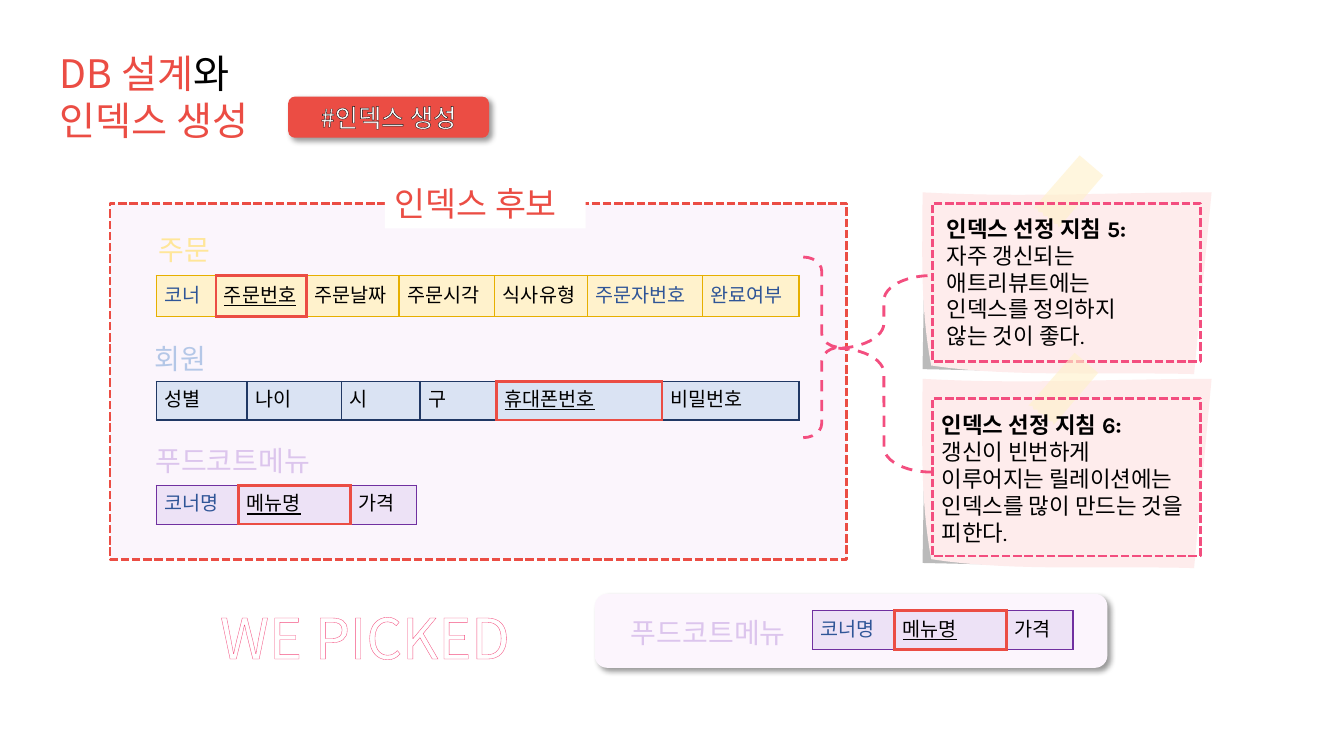
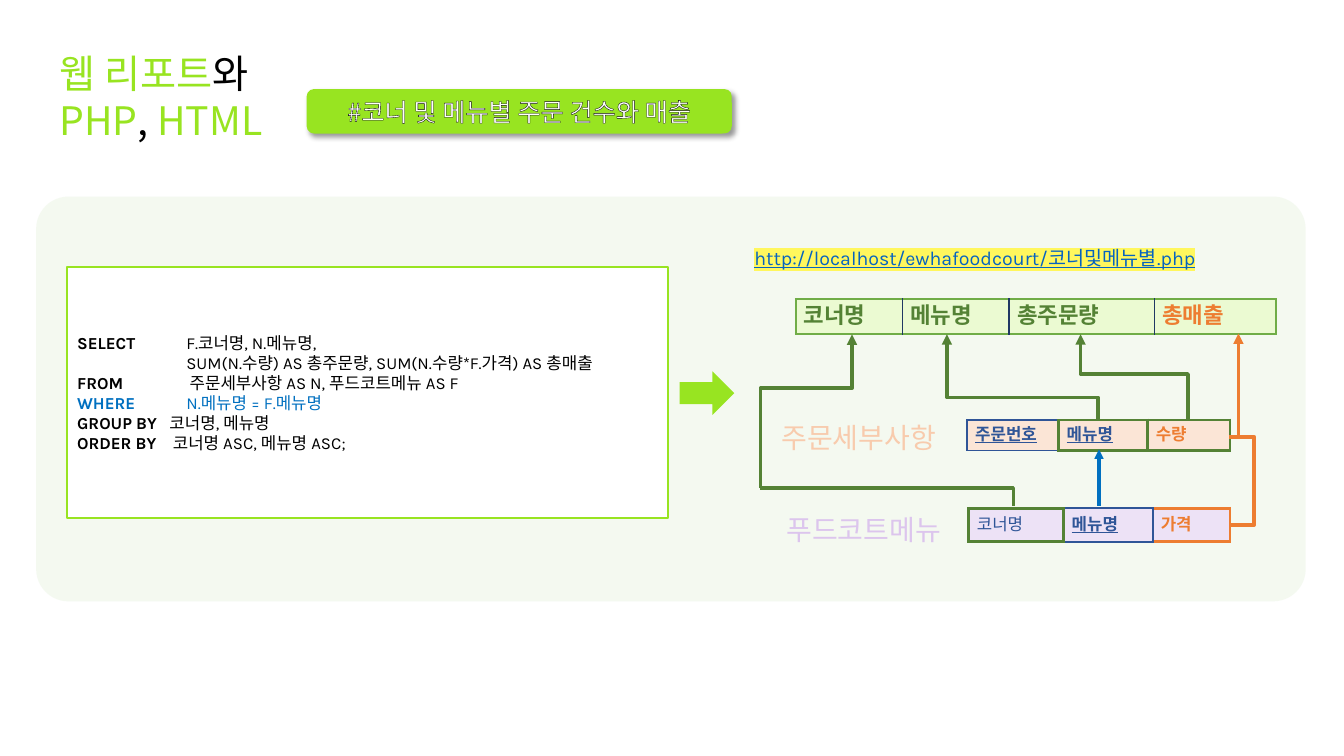
from lxml import etree
from pptx import Presentation
from pptx.dml.color import RGBColor
from pptx.enum.dml import MSO_LINE
from pptx.enum.shapes import MSO_CONNECTOR, MSO_SHAPE
from pptx.enum.text import MSO_ANCHOR, MSO_AUTO_SIZE, PP_ALIGN
from pptx.oxml.ns import qn
from pptx.util import Emu, Inches, Pt

RECT, ROUND = MSO_SHAPE.RECTANGLE, MSO_SHAPE.ROUNDED_RECTANGLE
LEFT_BRACE, RIGHT_BRACE = MSO_SHAPE.LEFT_BRACE, MSO_SHAPE.RIGHT_BRACE
RIGHT_ARROW = MSO_SHAPE.RIGHT_ARROW
STRAIGHT, ELBOW = MSO_CONNECTOR.STRAIGHT, MSO_CONNECTOR.ELBOW
DASH, SQUARE_DOT = MSO_LINE.DASH, MSO_LINE.SQUARE_DOT
TOP, MIDDLE = MSO_ANCHOR.TOP, MSO_ANCHOR.MIDDLE
LEFT, CENTER = PP_ALIGN.LEFT, PP_ALIGN.CENTER

# The slide is a grid of 160 columns by 90 rows with square cells
ROWS = 90
WIDTH, HEIGHT = Inches(13.33), Inches(7.5)
KOREAN, LATIN = "Noto Sans CJK KR", "Karla"
LEADING = 1.2

BLACK, WHITE, RED, LIME, PINK = "000000", "FFFFFF", "EB4D44", "98E421", "F34E7F"
BLUE, NAVY, AZURE = "2F5597", "203864", "0070C0"
GREEN, ORANGE, LILAC, PALE_LILAC = "548235", "ED7D31", "DCC5ED", "EDE2F6"


def rgb(value):
    return RGBColor.from_string(value)


def add(parent, tag, **attributes):
    return etree.SubElement(parent, qn(tag), attributes)


def solid(parent, color):
    add(add(parent, "a:solidFill"), "a:srgbClr", val=color)


def curve(p0, p1, p2, p3, steps=16):
    """Points along a cubic curve, without its first point."""
    for step in range(1, steps + 1):
        t = step / steps
        weights = ((1 - t) ** 3, 3 * t * (1 - t) ** 2, 3 * t * t * (1 - t), t ** 3)
        yield tuple(sum(w * p[axis] for w, p in zip(weights, (p0, p1, p2, p3)))
                    for axis in (0, 1))


class Deck:
    def __init__(self):
        self.file = Presentation()
        self.file.slide_width, self.file.slide_height = WIDTH, HEIGHT
        self.slide = None

    def grid(self, *lengths):
        return [Emu(round(length * HEIGHT / ROWS)) for length in lengths]

    # Text
    def run(self, paragraph, text, color=BLACK, outline=None, highlight=None, **values):
        run = paragraph.add_run()
        run.text = text
        for name, value in values.items():
            setattr(run.font, name, value)
        run.font.color.rgb = rgb(color)
        properties = run._r.get_or_add_rPr()
        latin = properties.find(qn("a:latin"))
        east_asian = add(properties, "a:ea", typeface=values["name"])
        latin.addnext(east_asian)
        if outline:
            edge = add(properties, "a:ln", w=str(Pt(outline[1])))
            solid(edge, outline[0])
            properties.insert(0, edge)
        if highlight:
            marker = add(properties, "a:highlight")
            add(marker, "a:srgbClr", val=highlight)
            latin.addprevious(marker)

    def fill_text(self, frame, paragraphs, size, align=LEFT, tabs=(), name=KOREAN, **base):
        base = {"size": Pt(size), "bold": False, "name": name, **base}
        for index, runs in enumerate(paragraphs):
            paragraph = frame.paragraphs[0] if index == 0 else frame.add_paragraph()
            if tabs:
                stops = add(paragraph._p.get_or_add_pPr(), "a:tabLst")
                add(stops, "a:tab", pos=str(self.grid(tabs[index])[0]), algn="l")
            paragraph.alignment = align
            paragraph.line_spacing = Pt(size * LEADING)
            for text, changes in runs:
                self.run(paragraph, text, **{**base, **changes})

    def text(self, at, paragraphs, size, anchor=TOP, **values):
        frame = self.slide.shapes.add_textbox(*self.grid(*at)).text_frame
        frame.word_wrap, frame.vertical_anchor = True, anchor
        self.fill_text(frame, paragraphs, size, **values)

    def label(self, left, top, text, color):
        self.text((left, top, 23.6, 5.3), [[(text, {})]], 20, MIDDLE, color=color)

    # Slide with its title and tag
    def page(self, title, tag, tag_at, color):
        self.slide = self.file.slides.add_slide(self.file.slide_layouts[5])
        heading = self.slide.shapes.title
        heading.left, heading.top, heading.width, heading.height = self.grid(5.9, 5.3, 30, 12.5)
        frame = heading.text_frame
        frame.auto_size, frame.vertical_anchor = MSO_AUTO_SIZE.NONE, TOP
        self.fill_text(frame, title, 28, color=color)
        plate = self.shape(ROUND, tag_at, color, shadow=True)
        plate.text_frame.vertical_anchor = MIDDLE
        self.fill_text(plate.text_frame, [[(tag, {})]], 18, CENTER,
                       color=WHITE, outline=("0D0D0D", 1))

    # Shapes
    def finish(self, shape, fill=None, alpha=None, line=None, shadow=False):
        shape.shadow.inherit = False
        if fill:
            shape.fill.solid()
            shape.fill.fore_color.rgb = rgb(fill)
        else:
            shape.fill.background()
        properties = shape.element.spPr
        if alpha:
            add(properties.find(qn("a:solidFill"))[0], "a:alpha", val=str(alpha * 1000))
        if line:
            color, width, dash = line
            shape.line.color.rgb, shape.line.width = rgb(color), Pt(width)
            if dash:
                shape.line.dash_style = dash
        else:
            shape.line.fill.background()
        if shadow:
            cast = add(properties.find(qn("a:effectLst")), "a:outerShdw",
                       blurRad=str(Pt(4)), dist=str(Pt(3)), dir="2700000",
                       algn="tl", rotWithShape="0")
            add(add(cast, "a:srgbClr", val=BLACK), "a:alpha", val="40000")
        return shape

    def shape(self, kind, at, fill=None, adjust=(), **style):
        shape = self.slide.shapes.add_shape(kind, *self.grid(*at))
        for index, value in enumerate(adjust):
            shape.adjustments[index] = value
        return self.finish(shape, fill, **style)

    def outline(self, points, fill, alpha=None):
        start, *rest = [self.grid(*point) for point in points]
        builder = self.slide.shapes.build_freeform(*start, scale=1.0)
        builder.add_line_segments(rest, close=True)
        self.finish(builder.convert_to_shape(), fill, alpha)

    # Sticky note: shade, curled paper, tape, frame and text
    def note(self, top, height, tape_shift, frame_top, text_at, lines):
        left, width = 109.8, 34.4

        def spot(x, y):
            return left + x * width, top + y * height
        self.outline([spot(0.01, 0.09), spot(0, 0.97), spot(0.3, 0.98)], BLACK, 27)
        start, low = spot(0, 0), spot(0.03, 0.95)
        self.outline([start, *curve(start, spot(0.35, 0.03), spot(0.66, 0), spot(1, 0)),
                      *curve(spot(1, 1), spot(0.68, 0.98), spot(0.32, 1.02), low),
                      *curve(low, spot(-0.01, 0.62), spot(0, 0.3), start)], "FEECEC")
        corners = [(left + x + tape_shift[0], top + y + tape_shift[1])
                   for x, y in ((18.7, -4.4), (21.5, -2), (16.2, 4.2), (13.2, 1.9))]
        (x1, y1), (x2, y2) = corners[2:]
        teeth = [(x1 + (x2 - x1) * i / 10 + i % 2 * 0.2,
                  y1 + (y2 - y1) * i / 10 - i % 2 * 0.2) for i in range(11)]
        self.outline([*corners[:2], *teeth], "FFF2CC", 63)
        self.shape(RECT, (111, frame_top, 31.9, 18.8), line=(PINK, 2, SQUARE_DOT))
        self.text(text_at, [[(line, {"bold": i == 0})] for i, line in enumerate(lines)],
                  16, name=LATIN)

    # One-row table of the fields of a relation
    def relation(self, left, top, height, fields, fill, border, size=14, inner=None, **base):
        widths = [width for _, width, _ in fields]
        frame = self.slide.shapes.add_table(
            1, len(fields), *self.grid(left, top, sum(widths), height))
        table = frame.table
        table.first_row = table.horz_banding = False
        own = [changes.get("edge", border) for _, _, changes in fields]
        sides = [own[0], *(max(pair, key=lambda edge: edge[1])
                           for pair in zip(own, own[1:])), own[-1]]
        for index, edge in (inner or {}).items():
            sides[index] = edge
        margins = {"margin_left": 0.08, "margin_right": 0.08,
                   "margin_top": 0.04, "margin_bottom": 0.04}
        for i, (name, width, changes) in enumerate(fields):
            table.columns[i].width = self.grid(width)[0]
            cell = table.cell(0, i)
            for margin, inches in margins.items():
                setattr(cell, margin, Inches(inches))
            cell.vertical_anchor = MIDDLE
            edges = zip("LRTB", (sides[i], sides[i + 1], own[i], own[i]))
            for side, (color, points) in edges:
                solid(add(cell._tc.get_or_add_tcPr(), f"a:ln{side}", w=str(Pt(points))), color)
            cell.fill.solid()
            cell.fill.fore_color.rgb = rgb(fill)
            look = {key: value for key, value in changes.items() if key != "edge"}
            self.fill_text(cell.text_frame, [[(name, look)]], size, **base)

    # Connectors
    def connector(self, start, end, color, width=2.5, kind=STRAIGHT, arrow=False,
                  bend=None, upward=False, preset=None):
        link = self.slide.shapes.add_connector(kind, *self.grid(*start, *end))
        link.line.color.rgb, link.line.width = rgb(color), Pt(width)
        properties = link.element.spPr
        add(properties, "a:effectLst")
        if arrow:
            add(properties.find(qn("a:ln")), "a:tailEnd", type="triangle")
        geometry = properties.find(qn("a:prstGeom"))
        if preset:
            geometry.set("prst", preset)
        if bend is not None:
            add(geometry.find(qn("a:avLst")), "a:gd", name="adj1",
                fmla=f"val {round(bend * 100000)}")
        if upward:  # the first leg runs up, so the box is turned a quarter
            (x1, y1), (x2, y2) = start, end
            across, rise = abs(x2 - x1), y1 - y2
            link.left, link.top, link.width, link.height = self.grid(
                (x1 + x2 - rise) / 2, (y1 + y2 - across) / 2, rise, across)
            turn = properties.find(qn("a:xfrm"))
            for flip in ("flipH", "flipV"):
                turn.attrib.pop(flip, None)
            turn.set("rot", "16200000")
            if x2 < x1:
                turn.set("flipV", "1")


PICKED = {"underline": True, "edge": (RED, 2.25)}
FOREIGN = {"color": BLUE}
MENU = "푸드코트메뉴"


def index_slide(deck):
    deck.page([[("DB 설계", {}), ("와", {"color": BLACK})], [("인덱스 생성", {})]],
              "#인덱스 생성", (34.3, 11.5, 23.9, 4.9), RED)
    # Candidate relations
    deck.shape(ROUND, (70.8, 70.7, 61, 8.8), "FCF5FD", shadow=True)
    deck.shape(RECT, (13.1, 24.2, 87.7, 42.4), "F8EAFA", alpha=46, line=(RED, 2, SQUARE_DOT))
    heading = deck.shape(RECT, (45.8, 21.2, 23.9, 6), WHITE)
    deck.fill_text(heading.text_frame, [[("인덱스 후보", {})]], 24, color=RED)
    deck.label(17.7, 27, "주문", "FFE699")
    deck.relation(18.6, 32.8, 4.9, [
        ("코너", 7.1, FOREIGN), ("주문번호", 10.8, PICKED), ("주문날짜", 11, {}),
        ("주문시각", 11.4, {}), ("식사유형", 11, {}), ("주문자번호", 13.7, FOREIGN),
        ("완료여부", 11.5, FOREIGN)], "FFF2CC", ("E6AF00", 1))
    deck.label(17.2, 40, "회원", "B4C7E7")
    deck.relation(18.6, 45.4, 4.6, [
        ("성별", 10.8, {}), ("나이", 11.2, {}), ("시", 9.4, {}), ("구", 9.1, {}),
        ("휴대폰번호", 19.7, PICKED), ("비밀번호", 16.3, {})], "DAE3F3", (NAVY, 1))
    # The menu relation is both a candidate and the final pick
    menu_fields = [("코너명", 9.8, FOREIGN), ("메뉴명", 13.3, PICKED), ("가격", 7.9, {})]
    for label_at, table_at in (((17.3, 52.2), (18.6, 57.8)), ((73.9, 72.6), (96.7, 72.7))):
        deck.label(*label_at, MENU, LILAC)
        deck.relation(*table_at, 4.6, menu_fields, PALE_LILAC, ("7030A0", 1))
    deck.text((25, 71.2, 42.2, 9.2), [[("WE PICKED", {})]], 40,
              color=WHITE, outline=(PINK, 1.5))
    # Guidelines
    deck.note(22.9, 21.7, (0, 0), 24.2, (111.5, 25, 25.7, 17.4),
              ["인덱스 선정 지침 5:", "자주 갱신되는", "애트리뷰트에는",
               "인덱스를 정의하지", "않는 것이 좋다."])
    deck.note(45.1, 22.6, (-0.6, 1.3), 47.4, (110.9, 48.4, 34.3, 17.4),
              ["인덱스 선정 지침 6:", "갱신이 빈번하게", "이루어지는 릴레이션에는",
               "인덱스를 많이 만드는 것을 피한다."])
    for kind, at, adjust in ((RIGHT_BRACE, (95.6, 30.6, 4.4, 21.5), (0.38, 0.5)),
                             (LEFT_BRACE, (99.5, 32.8, 11.4, 23.4), (0.26, 0.37))):
        deck.shape(kind, at, adjust=adjust, line=(PINK, 2, DASH))


def report_slide(deck):
    plain = {"color": BLACK}
    deck.page([[("웹 리포트", {}), ("와", plain)],
               [("PHP", {}), (", ", plain), ("HTML", {})]],
              "#코너 및 메뉴별 주문 건수와 매출", (36.5, 10.6, 50.6, 5.3), LIME)
    deck.shape(ROUND, (4.3, 23.4, 151.1, 48.2), "E2F0D9", (0.08,), alpha=37)
    # Query
    query = [("SELECT", "F.코너명, N.메뉴명,", 13),
             ("", "SUM(N.수량) AS 총주문량, SUM(N.수량*F.가격) AS 총매출", 13),
             ("FROM", "주문세부사항 AS N, 푸드코트메뉴 AS F", 13.4),
             ("WHERE", "N.메뉴명 = F.메뉴명", 13),
             ("GROUP BY", "코너명, 메뉴명", 11),
             ("ORDER BY", "코너명 ASC, 메뉴명 ASC;", 11.4)]
    code = deck.shape(RECT, (8, 31.8, 71.5, 29.9), WHITE, line=(LIME, 1.5, None)).text_frame
    code.vertical_anchor = MIDDLE
    clauses = []
    for keyword, rest, _ in query:
        color = AZURE if keyword == "WHERE" else BLACK
        words = [(keyword, {"bold": True, "color": color})] if keyword else []
        clauses.append([*words, ("\t" + rest, {"color": color})])
    deck.fill_text(code, clauses, 12, tabs=[stop for _, _, stop in query], name=LATIN)
    deck.shape(RIGHT_ARROW, (80.9, 44.2, 6.5, 5.2), LIME)
    # Report and the relations behind it
    deck.text((88.6, 28.7, 64.2, 4.1),
              [[("http://localhost/ewhafoodcourt/코너및메뉴별.php", {})]], 14, name=LATIN,
              color="0563C1", underline=True, highlight="FFF75D")
    sales = {"color": ORANGE}
    key = {"underline": True, "bold": True}
    deck.relation(94.7, 35.6, 4.2, [
        ("코너명", 12.7, {}), ("메뉴명", 12.7, {}), ("총주문량", 17.3, {}),
        ("총매출", 14.5, sales)], "EBFAD2", ("70AD47", 1.5), 16,
        dict.fromkeys((1, 2, 3), (NAVY, 1)), color=GREEN, bold=True)
    deck.label(91.8, 49.4, "주문세부사항", "F8CBAD")
    deck.relation(115.1, 50, 3.6, [
        ("주문번호", 10.9, {**key, "edge": (BLUE, 1)}), ("메뉴명", 10.6, key),
        ("수량", 9.8, sales)], "FBE5D6", (GREEN, 2.25), 12, color=BLUE, bold=True)
    deck.label(92.4, 60.4, MENU, LILAC)
    deck.relation(115.3, 60.5, 4, [
        ("코너명", 11.3, {}), ("메뉴명", 10.6, {**key, "edge": (BLUE, 1.5)}),
        ("가격", 9.2, {**sales, "bold": True, "edge": (ORANGE, 2.25)})],
        PALE_LILAC, (GREEN, 2.25), 12, {2: (BLUE, 1.5)}, color=BLUE)
    # Where each report column comes from
    deck.connector((130.8, 60.2), (130.8, 53.5), AZURE, 2.25, arrow=True)
    deck.connector((146.3, 52), (146.5, 62.5), ORANGE, kind=ELBOW, bend=15)
    deck.connector((147.4, 52), (147.4, 39.7), ORANGE, arrow=True)
    for start, end, bend in (((130.7, 50.1), (112.7, 39.8), 0.27),
                             ((141.4, 50.1), (128.6, 39.8), 0.54),
                             ((90.5, 58.1), (101.4, 39.8), 0.65)):
        deck.connector(start, end, GREEN, kind=ELBOW, arrow=True, bend=bend, upward=True)
    deck.connector((90.5, 58.1), (120.6, 60.2), GREEN, kind=ELBOW, preset="bentConnector2")


def main():
    deck = Deck()
    index_slide(deck)
    report_slide(deck)
    deck.file.save("out.pptx")


if __name__ == "__main__":
    main()
